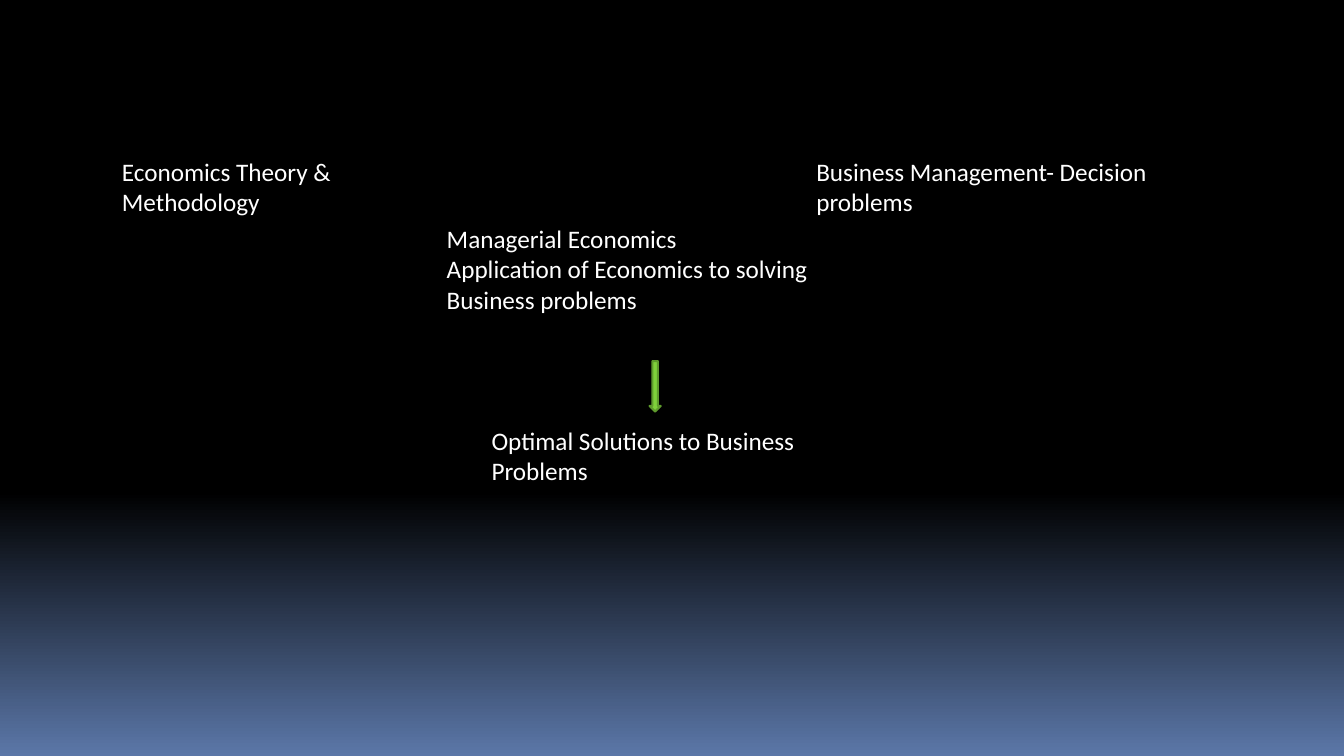
from pptx import Presentation
from pptx.dml.color import RGBColor
from pptx.enum.shapes import MSO_SHAPE
from pptx.enum.text import MSO_AUTO_SIZE
from pptx.util import Pt

COLORS = {
    "black": "000000",
    "blue": "5B77A8",
    "white": "FFFFFF",
    "green": "7FD13B",
    "dark green": "5E9B2C",
}


def color(name):
    return RGBColor.from_string(COLORS[name])


deck = Presentation()
deck.slide_width, deck.slide_height = Pt(960), Pt(540)
page = deck.slides.add_slide(deck.slide_layouts[6])

# Background: black down to 65 %, then fading to blue
backdrop = page.background.fill
backdrop.gradient()
backdrop.gradient_angle = 270
for stop, (position, name) in zip(backdrop.gradient_stops, [(0.65, "black"), (1, "blue")]):
    stop.position = position
    stop.color.rgb = color(name)

# Text boxes: left, top, width, height, paragraphs
statements = [
    (80, 108, 240, 51, ["Economics Theory & Methodology"]),
    (576, 108, 312, 51, ["Business Management- Decision problems"]),
    (312, 156, 312, 73, ["Managerial Economics",
                         "Application of Economics to solving Business problems"]),
    (344, 300, 240, 51, ["Optimal Solutions to Business Problems"]),
]
for left, top, width, height, lines in statements:
    box = page.shapes.add_textbox(Pt(left), Pt(top), Pt(width), Pt(height))
    box.line.color.rgb = color("black")
    box.line.width = Pt(0.75)
    frame = box.text_frame
    frame.word_wrap = True
    frame.auto_size = MSO_AUTO_SIZE.SHAPE_TO_FIT_TEXT
    frame.text = "\n".join(lines)
    for para in frame.paragraphs:
        para.font.name = "Calibri"
        para.font.size = Pt(18)
        para.font.color.rgb = color("white")

# Arrow from managerial economics to the optimal solutions
arrow = page.shapes.add_shape(MSO_SHAPE.DOWN_ARROW, Pt(464), Pt(258), Pt(8), Pt(36))
arrow.shadow.inherit = False
arrow.fill.solid()
arrow.fill.fore_color.rgb = color("green")
arrow.line.color.rgb = color("dark green")
arrow.line.width = Pt(1.5)

deck.save("out.pptx")
